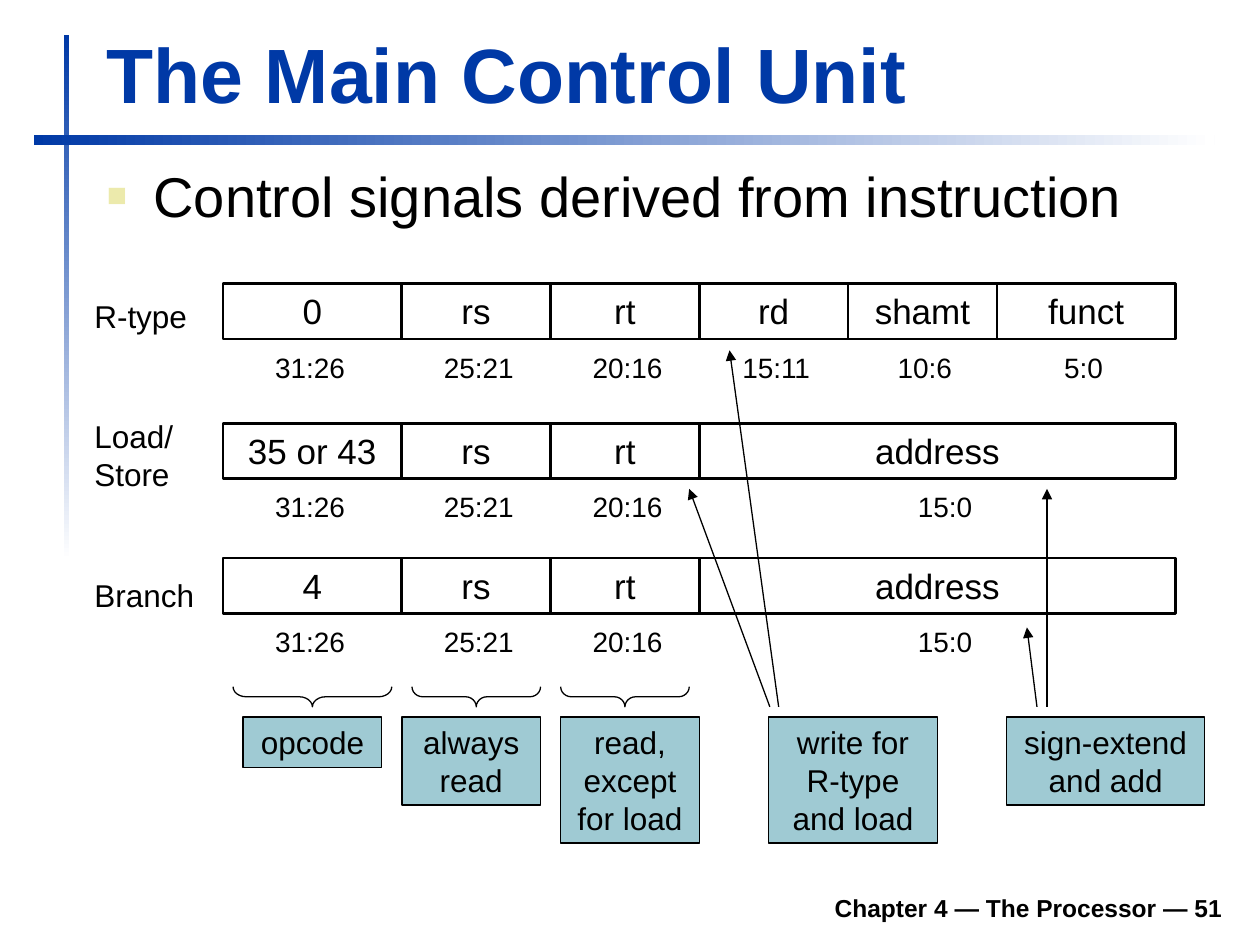
from lxml.etree import SubElement
from pptx import Presentation
from pptx.dml.color import RGBColor
from pptx.enum.shapes import MSO_CONNECTOR as Connector, MSO_SHAPE as Shape
from pptx.enum.text import MSO_ANCHOR as Anchor, MSO_AUTO_SIZE as AutoSize, PP_ALIGN as Align
from pptx.oxml.ns import qn
from pptx.util import Inches, Pt

BLUE = RGBColor(0x00, 0x39, 0xA6)
TEAL = RGBColor(0x9F, 0xCA, 0xD3)
BLACK = RGBColor(0, 0, 0)
WHITE = RGBColor(255, 255, 255)
BULLET_COLOUR = "ECEAAC"
FONT = "Arial"

# Content
TITLE = "The Main Control Unit"
POINT = "Control signals derived from instruction"
FOOTER = "Chapter 4 — The Processor — 51"

# Each field: text, bit range
RS, RT = ("rs", "25:21"), ("rt", "20:16")
ADDRESS = ("address", "15:0")
# Each format: name, top of name, top of fields, fields
FORMATS = [
    ("R-type", 2.31, 2.25, [("0", "31:26"), RS, RT, ("rd", "15:11"),
                            ("shamt", "10:6"), ("funct", "5:0")]),
    ("Load/\nStore", 3.26, 3.36, [("35 or 43", "31:26"), RS, RT, ADDRESS]),
    ("Branch", 4.52, 4.43, [("4", "31:26"), RS, RT, ADDRESS]),
]
# Each note: text, left, width, lines
NOTES = [
    ("opcode", 1.93, 1.1, 1),
    ("always read", 3.19, 1.1, 2),
    ("read, except for load", 4.45, 1.1, 3),
    ("write for R-type and load", 6.1, 1.34, 3),
    ("sign-extend and add", 7.99, 1.57, 2),
]
# Each arrow: start x, end x, end y
ARROWS = [(6.11, 5.47, 3.88), (6.18, 5.79, 2.78),
          (8.23, 8.15, 4.98), (8.31, 8.31, 3.88)]

# Layout: fields are as wide as their number of bits
FIELDS_LEFT, BIT = 1.77, 7.56 / 32
FIELD_HEIGHT, RANGE_DROP = 0.44, 0.48
RANGE_CENTRES = {"31:26": 2.46, "25:21": 3.8, "20:16": 4.98, "15:11": 6.16,
                 "10:6": 7.34, "5:0": 8.6, "15:0": 7.5}
NAMES_LEFT, NAMES_WIDTH = 0.65, 1.02
NOTES_TOP, ARROWS_TOP = 5.69, 5.61
BRACE_TOP, BRACE_DEPTH = 5.45, 0.16
BRACED = [(1.85, 1.26), (3.27, 1.02), (4.45, 1.02)]  # left, width

deck = Presentation()
deck.slide_width, deck.slide_height = Inches(10), Inches(7.5)
slide = deck.slides.add_slide(deck.slide_layouts[6])


def write(box, text, size, colour=BLACK, bold=False, align=Align.LEFT,
          anchor=Anchor.TOP, wrap=True, grow=False):
    frame = box.text_frame
    frame.word_wrap = wrap
    frame.auto_size = AutoSize.SHAPE_TO_FIT_TEXT if grow else AutoSize.NONE
    frame.vertical_anchor = anchor
    paragraph = frame.paragraphs[0]
    paragraph.text = text
    paragraph.alignment = align
    font = paragraph.font
    font.name, font.size, font.bold = FONT, Pt(size), bold
    font.color.rgb = colour
    return paragraph


def add_text(parent, place, text, size, **style):
    box = parent.shapes.add_textbox(*map(Inches, place))
    return write(box, text, size, **style)


def add_outlined(parent, kind, place, weight, fill=None):
    shape = parent.shapes.add_shape(kind, *map(Inches, place))
    shape.shadow.inherit = False
    if fill is None:
        shape.fill.background()
    else:
        shape.fill.solid()
        shape.fill.fore_color.rgb = fill
    shape.line.color.rgb = BLACK
    shape.line.width = Pt(weight)
    return shape


# Fading rules beside and below the title
for place, angle in [((0.51, 0.28, 0.04, 4.17), 270), ((0.27, 1.07, 9.37, 0.08), 0)]:
    rule = slide.shapes.add_shape(Shape.RECTANGLE, *map(Inches, place))
    rule.shadow.inherit = False
    rule.line.fill.background()
    rule.fill.gradient()
    rule.fill.gradient_angle = angle
    for stop, colour in zip(rule.fill.gradient_stops, (BLUE, WHITE)):
        stop.color.rgb = colour

# Footer, title and bullet point
add_text(slide, (1.85, 6.98, 7.95, 0.39), FOOTER, 14, bold=True,
         align=Align.RIGHT, anchor=Anchor.BOTTOM)
add_text(slide, (0.75, 0.16, 9.03, 0.83), TITLE, 44, colour=BLUE, bold=True,
         anchor=Anchor.BOTTOM)
point = add_text(slide, (0.75, 1.23, 9.04, 0.76), POINT, 32)
point.space_before = Pt(8)
props = point._p.get_or_add_pPr()
props.set("marL", str(Inches(0.37)))
props.set("indent", str(-Inches(0.37)))
bullet_colour = SubElement(props, qn("a:buClr"))
SubElement(bullet_colour, qn("a:srgbClr"), val=BULLET_COLOUR)
SubElement(props, qn("a:buSzPct"), val="60000")
SubElement(props, qn("a:buFont"), typeface=FONT)
SubElement(props, qn("a:buChar"), char="■")
# Bullet settings come before the default run properties
props.append(props.find(qn("a:defRPr")))

# Instruction formats: a row of fields with bit ranges below
for name, name_top, top, fields in FORMATS:
    row = slide.shapes.add_group_shape()
    for text, bits in fields:
        high, low = map(int, bits.split(":"))
        place = (FIELDS_LEFT + (31 - high) * BIT, top,
                 (high - low + 1) * BIT, FIELD_HEIGHT)
        field = add_outlined(row, Shape.RECTANGLE, place, 1.5)
        write(field, text, 20, align=Align.CENTER, grow=True)
    for _, bits in fields:
        width = 0.18 + 0.12 * len(bits)
        place = (RANGE_CENTRES[bits] - width / 2, top + RANGE_DROP, width, 0.37)
        add_text(row, place, bits, 16, align=Align.CENTER, wrap=False, grow=True)
for name, name_top, _, _ in FORMATS:
    height = 0.1 + 0.3 * len(name.split("\n"))
    add_text(slide, (NAMES_LEFT, name_top, NAMES_WIDTH, height), name, 18,
             wrap=False, grow=True)

# Braces: upright shapes turned to point down
for left, width in BRACED:
    place = (left + (width - BRACE_DEPTH) / 2,
             BRACE_TOP + (BRACE_DEPTH - width) / 2, BRACE_DEPTH, width)
    brace = add_outlined(slide, Shape.LEFT_BRACE, place, 0.75)
    brace.rotation = 270
    brace.adjustments[0] = width / BRACE_DEPTH / 12

# Notes
for text, left, width, lines in NOTES:
    place = (left, NOTES_TOP, width, 0.1 + 0.3 * lines)
    note = add_outlined(slide, Shape.RECTANGLE, place, 0.75, TEAL)
    write(note, text, 18, align=Align.CENTER, grow=True)

# Arrows from the notes up to the fields
for start_x, end_x, end_y in ARROWS:
    ends = map(Inches, (start_x, ARROWS_TOP, end_x, end_y))
    arrow = slide.shapes.add_connector(Connector.STRAIGHT, *ends)
    arrow.line.color.rgb = BLACK
    arrow.line.width = Pt(0.75)
    SubElement(arrow.line._get_or_add_ln(), qn("a:tailEnd"), type="triangle")
    SubElement(arrow._element.spPr, qn("a:effectLst"))

deck.save("out.pptx")
